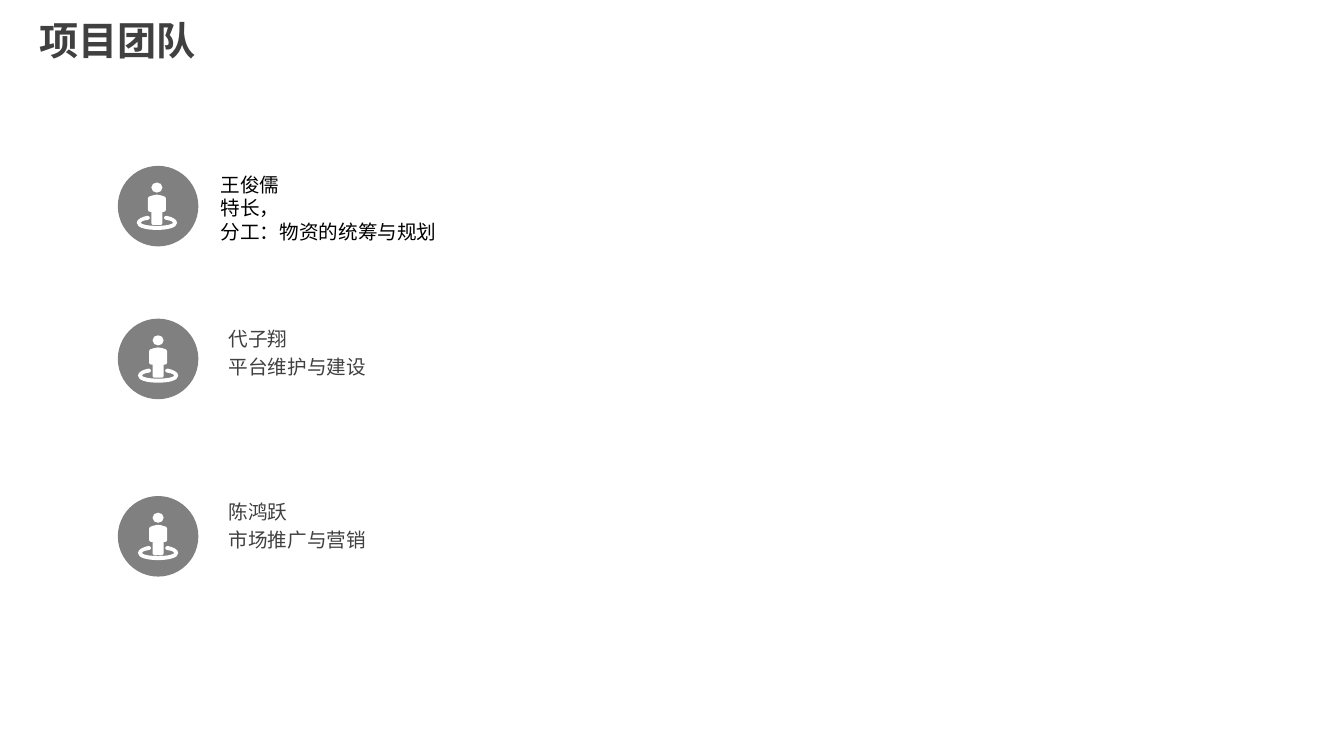
"""Builds the project team slide: a title and three members with icons."""
from lxml import etree
from pptx import Presentation
from pptx.dml.color import RGBColor
from pptx.enum.shapes import MSO_SHAPE
from pptx.enum.text import MSO_ANCHOR, PP_ALIGN
from pptx.oxml.ns import qn
from pptx.util import Cm, Pt

OVAL = MSO_SHAPE.OVAL
TOP = MSO_ANCHOR.TOP
LEFT, CENTER = PP_ALIGN.LEFT, PP_ALIGN.CENTER

FONT = "Noto Sans CJK SC"
COLORS = {"dark": "404040", "black": "000000", "disc": "808080", "icon": "FFFFFF"}
TITLE = "项目团队"
TEAM = [
    {"disc": 4.18, "shift": -0.03, "box": (5.31, 4.23, 7.09, 2.06), "color": "black",
     "space": 1.0, "lines": ["王俊儒", "特长，", "分工：物资的统筹与规划"]},
    {"disc": 8.03, "shift": 0, "box": (5.51, 8, 8.46, 1.65), "color": "dark",
     "space": 1.2, "lines": ["代子翔", "平台维护与建设"]},
    {"disc": 12.5, "shift": 0, "box": (5.51, 12.35, 8.46, 1.65), "color": "dark",
     "space": 1.2, "lines": ["陈鸿跃", "市场推广与营销"]},
]
DISC_X, DISC = 2.97, 2.03
ICON_TOP = 0.42

# Right halves in hundredths of an inch: a start, then cubic curves.
RING = [(0, 47), (10, 47), (20, 45), (20, 40), (20, 36), (14, 34), (9.5, 33),
        (8, 33), (7, 34), (7, 35), (7, 36), (8, 37), (9, 37),
        (15, 38), (16, 39), (16, 40), (16, 41), (11, 43), (0, 43)]
BODY = [(0, 12), (2, 12), (4, 13), (5, 13), (8, 13), (9, 15), (9, 16),
        (9, 16), (9, 27), (9, 27), (9, 28), (8, 29), (7, 29),
        (7, 29), (5.5, 29), (5.5, 29), (5.5, 29), (5.5, 40), (5.5, 40),
        (5.5, 41), (5, 42), (4, 42), (4, 42), (0, 42), (0, 42)]
HEAD = [(0, 0), (3, 0), (5.5, 2), (5.5, 5), (5.5, 8), (3, 10), (0, 10)]
UNIT = 25.4


def outline(half):
    """Join a half to its mirror image."""
    whole = half + [(-x, y) for x, y in half[-2::-1]]
    return [(x * UNIT, y * UNIT) for x, y in whole]


def bend(shape):
    """Turn every three line segments into one cubic curve."""
    lines = list(shape._element.iter(qn("a:lnTo")))
    for i in range(0, len(lines), 3):
        curve = etree.Element(qn("a:cubicBezTo"))
        lines[i].addprevious(curve)
        for line in lines[i:i + 3]:
            curve.append(line[0])
            line.getparent().remove(line)


def paint(shape, color):
    """Fill a shape flatly."""
    shape.shadow.inherit = False
    shape.fill.solid()
    shape.fill.fore_color.rgb = RGBColor.from_string(COLORS[color])
    shape.line.fill.background()


def write(frame, lines, size, color, space=1.0, bold=False, align=LEFT):
    """Write one paragraph for each line."""
    frame.text = "\n".join(lines)
    frame.vertical_anchor = TOP
    for para in frame.paragraphs:
        para.alignment = align
        para.line_spacing = space
        font = para.font
        font.name, font.size, font.bold = FONT, Pt(size), bold
        font.color.rgb = RGBColor.from_string(COLORS[color])
        props = para._p.pPr.find(qn("a:defRPr"))
        etree.SubElement(props, qn("a:ea")).set("typeface", FONT)


def draw_icon(shapes, x, y):
    """Draw a standing person in a ring, centred at x with its top at y."""
    parts = [outline(half) for half in (RING, BODY, HEAD)]
    pen = shapes.build_freeform(*parts[0][0], scale=Cm(0.001))
    pen.add_line_segments(parts[0][1:])
    for part in parts[1:]:
        pen.move_to(*part[0])
        pen.add_line_segments(part[1:])
    icon = pen.convert_to_shape(Cm(x), Cm(y))
    bend(icon)
    paint(icon, "icon")


def main():
    """Build and save the slide."""
    deck = Presentation()
    deck.slide_width, deck.slide_height = Cm(33.87), Cm(19.05)
    shapes = deck.slides.add_slide(deck.slide_layouts[5]).shapes

    title = shapes.title
    title.left, title.top, title.width, title.height = map(Cm, (0.72, 0.28, 4.5, 1.45))
    write(title.text_frame, [TITLE], 28, "dark", bold=True, align=CENTER)
    title.text_frame.word_wrap = False

    for who in TEAM:
        disc = shapes.add_shape(OVAL, *map(Cm, (DISC_X, who["disc"], DISC, DISC)))
        paint(disc, "disc")
        draw_icon(shapes, DISC_X + DISC / 2 + who["shift"], who["disc"] + ICON_TOP)
        frame = shapes.add_textbox(*map(Cm, who["box"])).text_frame
        frame.word_wrap = True
        write(frame, who["lines"], 14, who["color"], who["space"])

    deck.save("out.pptx")


if __name__ == "__main__":
    main()
